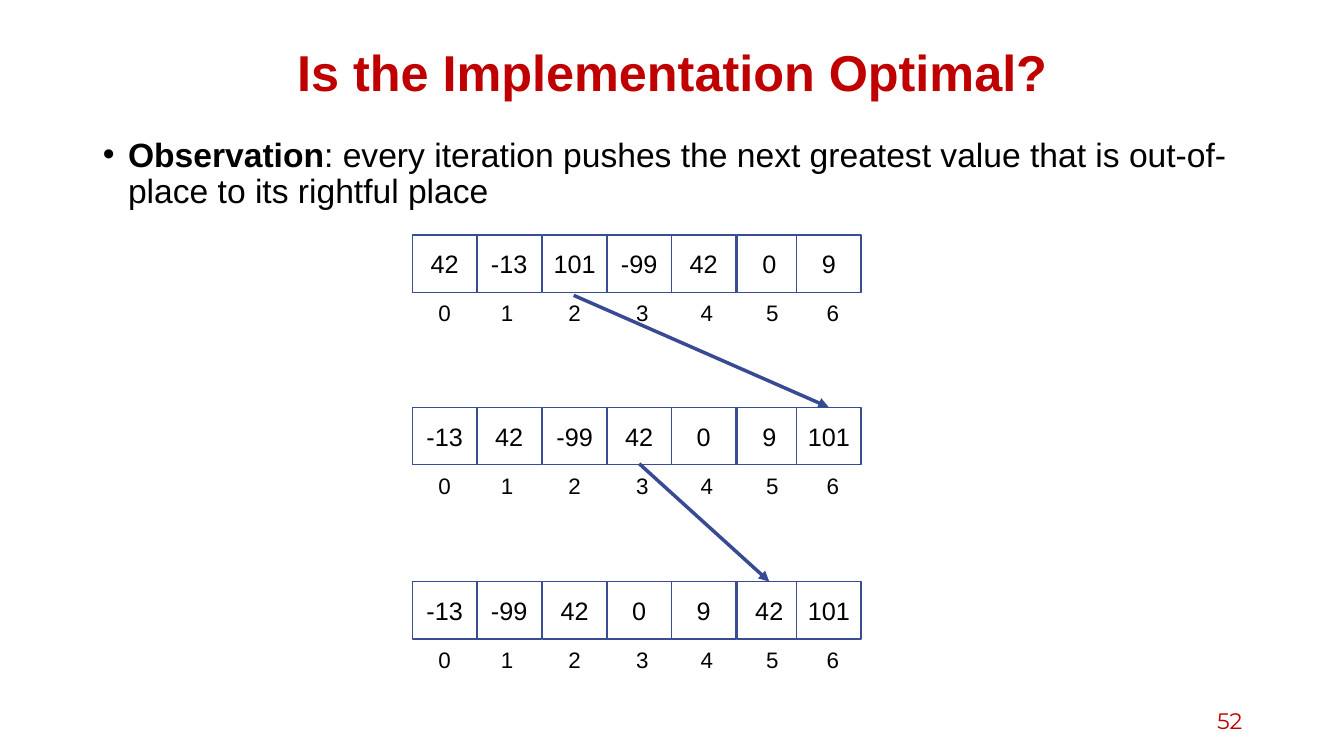
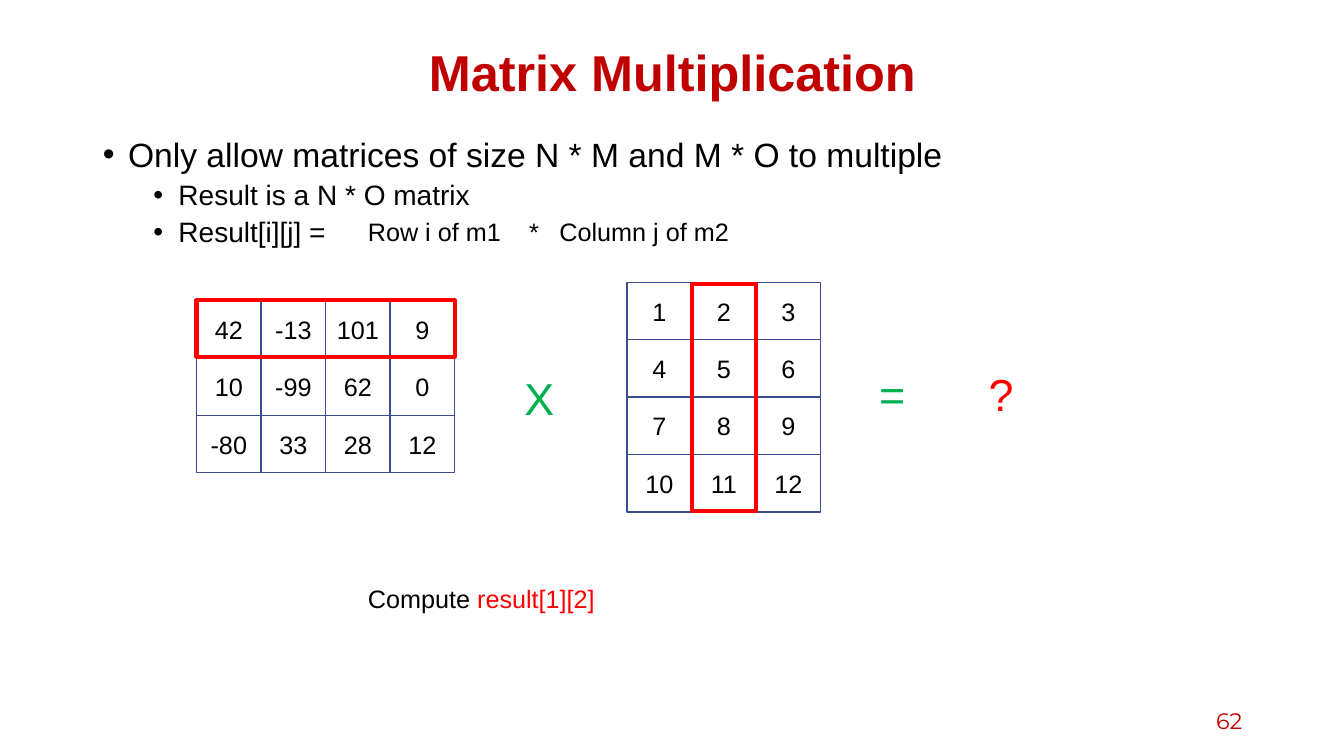
from dataclasses import dataclass

from lxml.etree import SubElement
from pptx import Presentation
from pptx.dml.color import RGBColor
from pptx.enum.shapes import MSO_CONNECTOR, MSO_SHAPE
from pptx.enum.text import MSO_ANCHOR, PP_ALIGN
from pptx.oxml.ns import qn
from pptx.util import Pt

PX = 9144


@dataclass(frozen=True)
class Theme:
    heading: str = "C00000"
    text: str = "000000"
    paper: str = "FFFFFF"
    cell_line: str = "3A4C94"
    arrow: str = "374A92"
    accent: str = "FF0000"
    operator: str = "00B050"
    font: str = "Arial"
    number_font: str = "Montserrat"
    title_size: int = 36
    body_sizes: tuple = (24, 20)
    cell_size: int = 18
    small_size: int = 16
    operator_size: int = 32


theme = Theme()


def style_font(font, size, color=theme.text, name=theme.font, bold=False):
    font.size = Pt(size)
    font.color.rgb = RGBColor.from_string(color)
    font.name = name
    font.bold = bold


def add_text(slide, text, left, top, width, height, size=theme.cell_size,
             color=theme.text, align=PP_ALIGN.CENTER, name=theme.font, boxed=False):
    box = [length * PX for length in (left, top, width, height)]
    if boxed:
        shape = slide.shapes.add_shape(MSO_SHAPE.RECTANGLE, *box)
        shape.shadow.inherit = False
        shape.fill.solid()
        shape.fill.fore_color.rgb = RGBColor.from_string(theme.paper)
        shape.line.color.rgb = RGBColor.from_string(theme.cell_line)
        shape.line.width = Pt(1)
    else:
        shape = slide.shapes.add_textbox(*box)
    frame = shape.text_frame
    frame.word_wrap = True
    frame.vertical_anchor = MSO_ANCHOR.MIDDLE
    frame.text = text
    paragraph = frame.paragraphs[0]
    paragraph.alignment = align
    for run in paragraph.runs:
        style_font(run.font, size, color, name)
    return paragraph


presentation = Presentation()
presentation.slide_width = 1333 * PX
presentation.slide_height = 750 * PX

layout = presentation.slide_layouts[1]
for placeholder, top, height in zip(layout.placeholders, (40, 132), (70, 551)):
    placeholder.left, placeholder.width = 92 * PX, 1150 * PX
    placeholder.top, placeholder.height = top * PX, height * PX

contents = [
    ("Is the Implementation Optimal?", "52", [
        (0, ["Observation", ": every iteration pushes the next greatest value that is "
             "out-of-place to its rightful place"]),
    ]),
    ("Matrix Multiplication", "62", [
        (0, ["Only allow matrices of size N * M and M * O to multiple"]),
        (1, ["Result is a N * O matrix"]),
        (1, ["Result[i][j] ="]),
    ]),
]
slides = []
for title, number, bullets in contents:
    slide = presentation.slides.add_slide(layout)
    slides.append(slide)

    slide.shapes.title.text_frame.text = title
    paragraph = slide.shapes.title.text_frame.paragraphs[0]
    paragraph.alignment = PP_ALIGN.CENTER
    paragraph.line_spacing = 0.9
    style_font(paragraph.runs[0].font, theme.title_size, theme.heading, bold=True)

    body = slide.placeholders[1].text_frame
    for index, (level, parts) in enumerate(bullets):
        paragraph = body.add_paragraph() if index else body.paragraphs[0]
        paragraph.level = level
        paragraph.line_spacing = 0.9
        paragraph.space_before = Pt(5 if index else 0)
        properties = paragraph._p.get_or_add_pPr()
        properties.set("marL", str((25 + 50 * level) * PX))
        properties.set("indent", str(-25 * PX))
        SubElement(properties, qn("a:buFont"), typeface=theme.font)
        SubElement(properties, qn("a:buChar"), char="•")
        for position, part in enumerate(parts):
            run = paragraph.add_run()
            run.text = part
            style_font(run.font, theme.body_sizes[level],
                       bold=len(parts) > 1 and position == 0)

    add_text(slide, number, 942, 695, 300, 40, theme.small_size, theme.heading,
             PP_ALIGN.RIGHT, theme.number_font)

sorting_slide, matrix_slide = slides

CELL_WIDTH, CELL_HEIGHT = 64, 57
cell_lefts = [409, 473, 538, 602, 666, 731, 790]
index_lefts = [421, 483, 550, 617, 681, 746, 806]
passes = [
    (233, [42, -13, 101, -99, 42, 0, 9]),
    (404, [-13, 42, -99, 42, 0, 9, 101]),
    (577, [-13, -99, 42, 0, 9, 42, 101]),
]
for top, values in passes:
    for left, value in zip(cell_lefts, values):
        add_text(sorting_slide, str(value), left, top, CELL_WIDTH, CELL_HEIGHT, boxed=True)
    for index, left in enumerate(index_lefts):
        add_text(sorting_slide, str(index), left, top + 59, 40, 37, theme.small_size)

for ends in [(569, 293, 822, 404), (634, 460, 763, 577)]:
    arrow = sorting_slide.shapes.add_connector(
        MSO_CONNECTOR.STRAIGHT, *[length * PX for length in ends])
    arrow.line.color.rgb = RGBColor.from_string(theme.arrow)
    arrow.line.width = Pt(2.5)
    properties = arrow._element.spPr
    SubElement(properties.find(qn("a:ln")), qn("a:tailEnd"), type="triangle")
    SubElement(properties, qn("a:effectLst"))

matrices = [
    (195, 298, [[42, -13, 101, 9], [10, -99, 62, 0], [-80, 33, 28, 12]]),
    (622, 280, [[1, 2, 3], [4, 5, 6], [7, 8, 9], [10, 11, 12]]),
]
for left, top, rows in matrices:
    for row, values in enumerate(rows):
        for column, value in enumerate(values):
            add_text(matrix_slide, str(value), left + column * CELL_WIDTH,
                     top + row * CELL_HEIGHT, CELL_WIDTH, CELL_HEIGHT, boxed=True)

for symbol, left, top, color in [("X", 497, 362, theme.operator),
                                 ("=", 847, 358, theme.operator),
                                 ("?", 955, 358, theme.accent)]:
    add_text(matrix_slide, symbol, left, top, 76, 64, theme.operator_size, color)

for box in [(195, 298, 4 * CELL_WIDTH, 56), (622 + CELL_WIDTH, 282, CELL_WIDTH, 225)]:
    highlight = matrix_slide.shapes.add_shape(
        MSO_SHAPE.RECTANGLE, *[length * PX for length in box])
    highlight.shadow.inherit = False
    highlight.fill.background()
    highlight.line.color.rgb = RGBColor.from_string(theme.accent)
    highlight.line.width = Pt(3)

formula = add_text(matrix_slide, "Row i of m1\t*\tColumn j of m2", 355, 210, 409, 40,
                   align=PP_ALIGN.LEFT)
tab_list = SubElement(formula._p.get_or_add_pPr(), qn("a:tabLst"))
for position in (160, 190):
    SubElement(tab_list, qn("a:tab"), pos=str(position * PX), algn="l")

task = add_text(matrix_slide, "Compute ", 355, 574, 409, 40, align=PP_ALIGN.LEFT)
target = task.add_run()
target.text = "result[1][2]"
style_font(target.font, theme.cell_size, theme.accent)

presentation.save("out.pptx")
